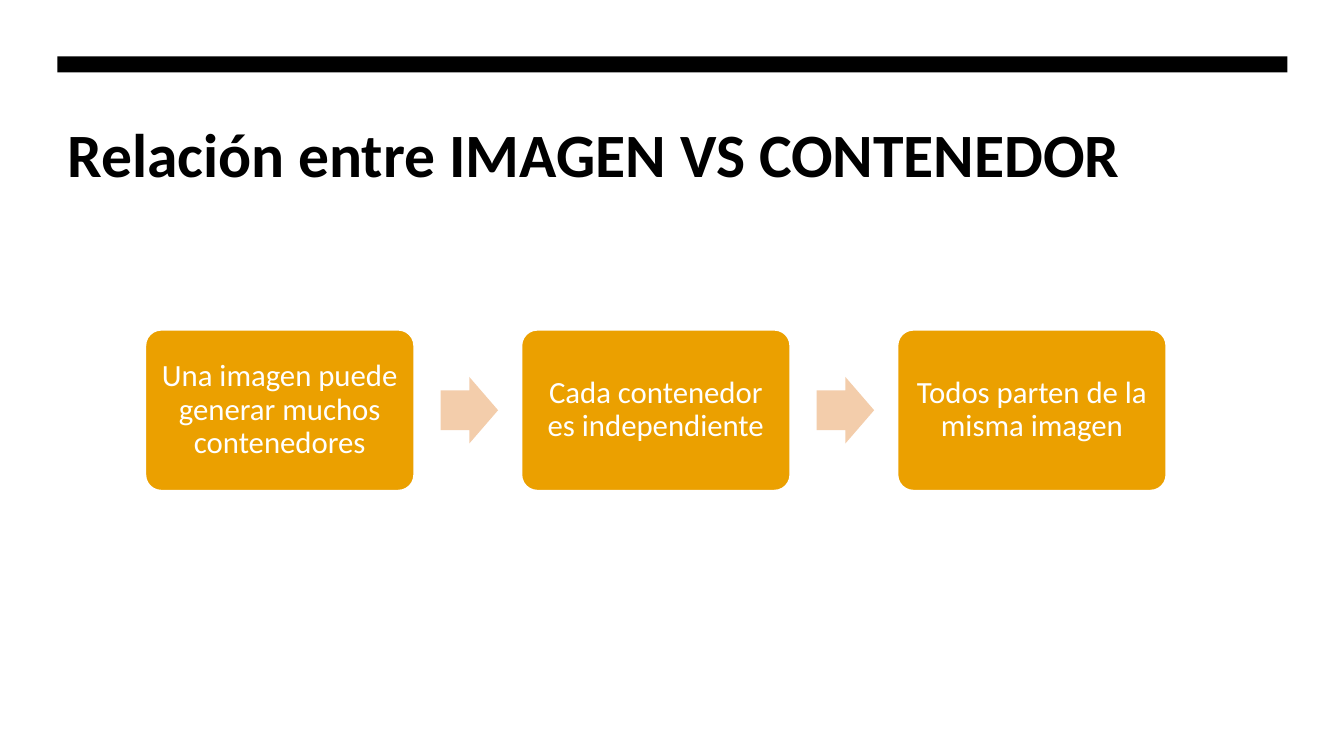
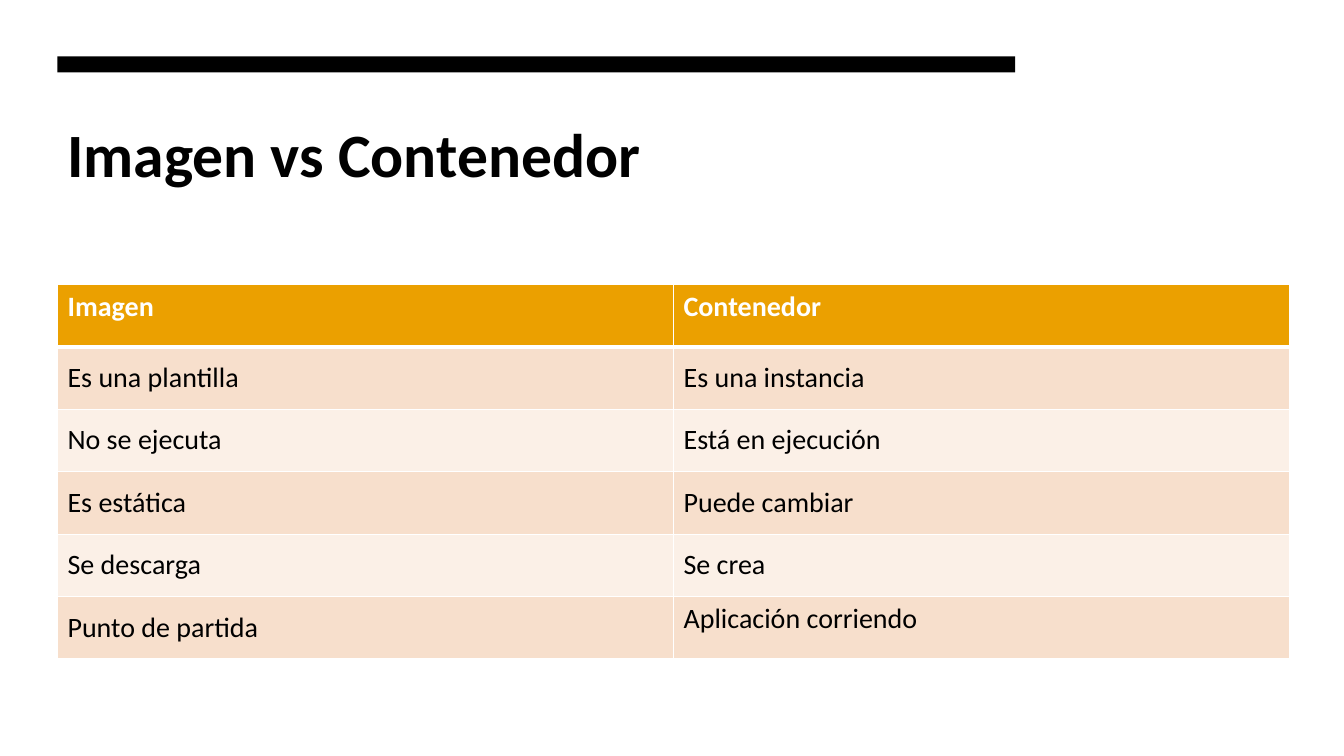
from lxml.etree import SubElement
from pptx import Presentation
from pptx.dml.color import RGBColor
from pptx.enum.shapes import MSO_SHAPE
from pptx.enum.text import MSO_ANCHOR, PP_ALIGN
from pptx.oxml.ns import qn
from pptx.util import Inches, Pt

BLACK = RGBColor(0x00, 0x00, 0x00)
WHITE = RGBColor(0xFF, 0xFF, 0xFF)
AMBER = RGBColor(0xEB, 0xA0, 0x00)
PEACH = RGBColor(0xF3, 0xCD, 0xAB)
BANDS = (RGBColor(0xF7, 0xDF, 0xCC), RGBColor(0xFB, 0xF0, 0xE7))

TITLE = {"size": Pt(44), "bold": True, "color": BLACK}
STEP = {"size": Pt(22), "bold": False, "color": WHITE}
HEADER = {"size": Pt(20), "bold": True, "color": WHITE}
BODY = {"size": Pt(20), "bold": False, "color": BLACK}

MARGIN = 0.57
CONTENT_WIDTH = 12.2


def write(frame, text, style):
    """Put one styled run into the frame and return its paragraph."""
    paragraph = frame.paragraphs[0]
    run = paragraph.add_run()
    run.text = text
    run.font.name = "Calibri"
    for key, value in style.items():
        if key == "color":
            run.font.color.rgb = value
        else:
            setattr(run.font, key, value)
    return paragraph


def add_block(slide, preset, left, top, width, height, fill, adjustments=()):
    """Add a flat filled shape without outline or shadow."""
    block = slide.shapes.add_shape(
        preset, Inches(left), Inches(top), Inches(width), Inches(height))
    block.shadow.inherit = False
    block.fill.solid()
    block.fill.fore_color.rgb = fill
    block.line.fill.background()
    for index, value in enumerate(adjustments):
        block.adjustments[index] = value
    return block


prs = Presentation()
prs.slide_width, prs.slide_height = Inches(13.33), Inches(7.5)

# Shared top bar and title
slides = []
for heading, width in (("Relación entre IMAGEN VS CONTENEDOR", CONTENT_WIDTH),
                       ("Imagen vs Contenedor", 9.5)):
    slide = prs.slides.add_slide(prs.slide_layouts[6])
    add_block(slide, MSO_SHAPE.RECTANGLE, MARGIN, 0.56, width, 0.16, BLACK)
    title = slide.shapes.add_textbox(
        Inches(MARGIN), Inches(1.1), Inches(width), Inches(1.57))
    title.text_frame.word_wrap = True
    write(title.text_frame, heading, TITLE)
    slides.append(slide)
relation_slide, comparison_slide = slides

# Slide 1: three steps joined by arrows
steps = ("Una imagen puede generar muchos contenedores",
         "Cada contenedor es independiente",
         "Todos parten de la misma imagen")
STEP_LEFT, STEP_PITCH, STEP_WIDTH = 1.44, 3.73, 2.67
for index, text in enumerate(steps):
    left = STEP_LEFT + index * STEP_PITCH
    if index:
        add_block(relation_slide, MSO_SHAPE.RIGHT_ARROW, left - 0.8, 3.74,
                  0.57, 0.66, PEACH, (0.6, 0.5))
    step = add_block(relation_slide, MSO_SHAPE.ROUNDED_RECTANGLE, left, 3.27,
                     STEP_WIDTH, 1.6, AMBER, (0.1,))
    step.line.color.rgb = WHITE
    step.line.width = Pt(1.5)
    frame = step.text_frame
    frame.word_wrap = True
    frame.vertical_anchor = MSO_ANCHOR.MIDDLE
    for side in ("left", "right", "top", "bottom"):
        setattr(frame, f"margin_{side}", Inches(0.09))
    paragraph = write(frame, text, STEP)
    paragraph.alignment = PP_ALIGN.CENTER
    paragraph.line_spacing = 0.9

# Slide 2: comparison table
rows = (("Imagen", "Contenedor"),
        ("Es una plantilla", "Es una instancia"),
        ("No se ejecuta", "Está en ejecución"),
        ("Es estática", "Puede cambiar"),
        ("Se descarga", "Se crea"),
        ("Punto de partida", "Aplicación corriendo"))
ROW_HEIGHT = 0.62
TOP_ANCHORED = {(0, 0), (0, 1), (5, 1)}
comparison = comparison_slide.shapes.add_table(
    len(rows), 2, Inches(MARGIN), Inches(2.82),
    Inches(CONTENT_WIDTH), Inches(len(rows) * ROW_HEIGHT)).table
for column in comparison.columns:
    column.width = Inches(6.11)

for r, texts in enumerate(rows):
    comparison.rows[r].height = Inches(ROW_HEIGHT)
    for c, text in enumerate(texts):
        cell = comparison.cell(r, c)
        cell.vertical_anchor = (
            MSO_ANCHOR.TOP if (r, c) in TOP_ANCHORED else MSO_ANCHOR.MIDDLE)
        write(cell.text_frame, text, BODY if r else HEADER)
        borders = {"L": 1, "R": 1, "T": 3 if r == 1 else 1, "B": 1 if r else 3}
        for side, points in borders.items():
            line = SubElement(cell._tc.get_or_add_tcPr(), qn(f"a:ln{side}"),
                              w=str(Pt(points)))
            SubElement(SubElement(line, qn("a:solidFill")),
                       qn("a:srgbClr"), val=str(WHITE))
        cell.fill.solid()
        cell.fill.fore_color.rgb = BANDS[(r - 1) % 2] if r else AMBER

prs.save("out.pptx")
